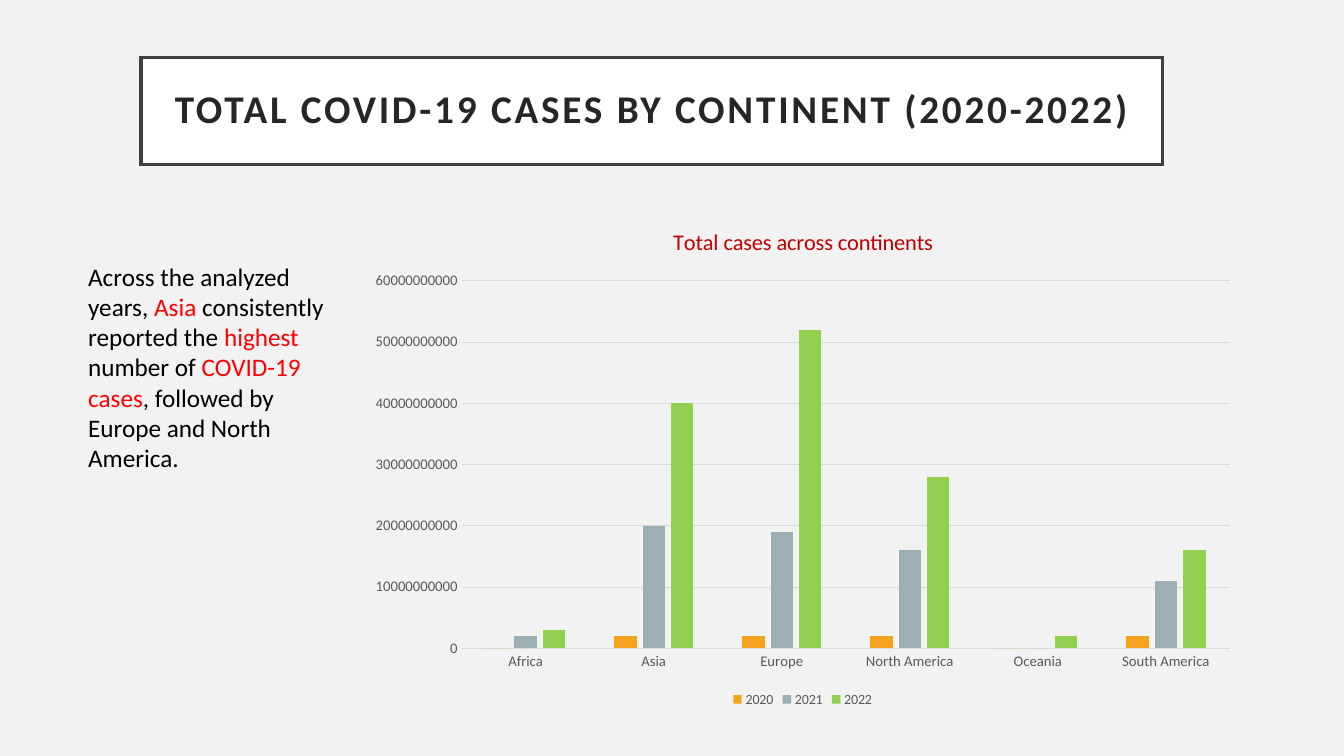
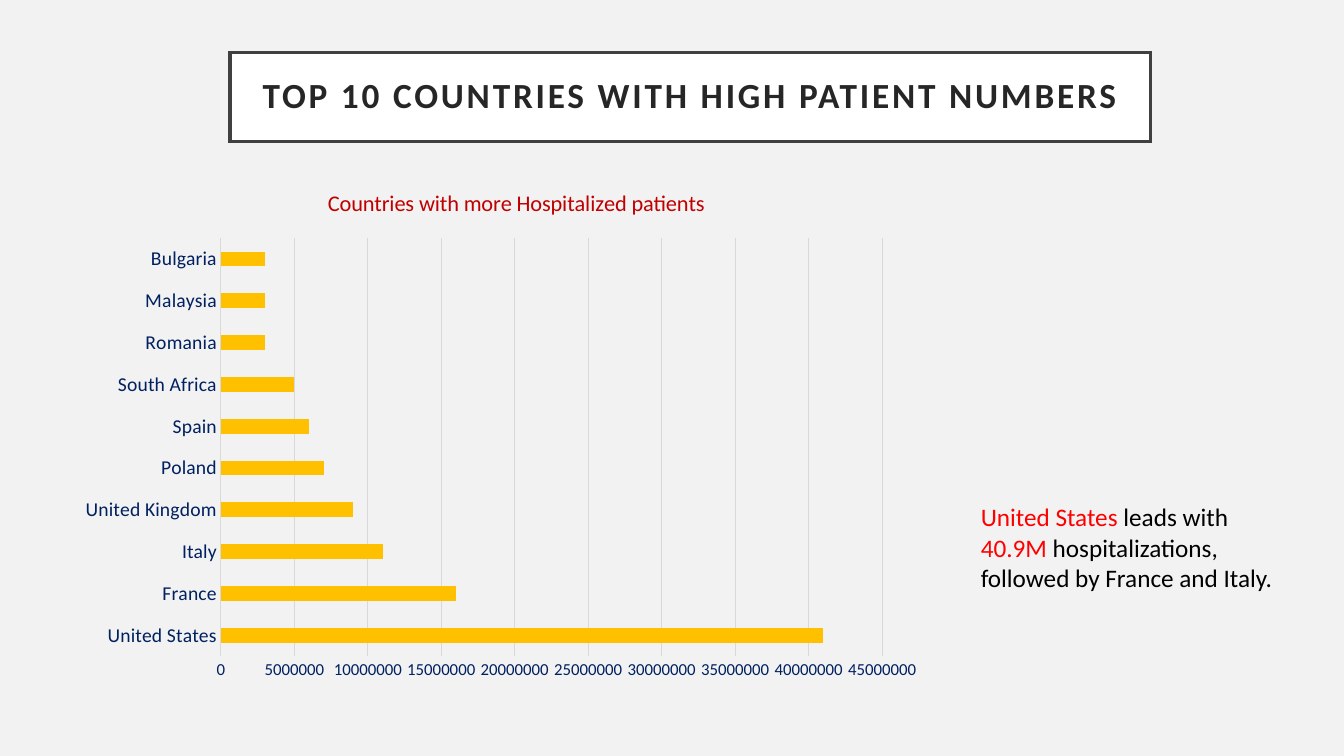
from pptx import Presentation
from pptx import util as u
from pptx.chart.data import CategoryChartData
from pptx.dml.color import RGBColor
from pptx.enum import chart as ch, shapes, text
from pptx.oxml import parse_xml
from pptx.oxml.ns import nsdecls

HUES = {
    "page": "F2F2F2", "white": "FFFFFF", "frame": "404040", "head": "262626",
    "body": "000000", "hot": "FF0000", "crimson": "C00000", "grid": "D9D9D9",
    "gray": "595959", "navy": "002060", "orange": "F6A21D", "steel": "9BAFB5",
    "green": "92D050", "gold": "FFC000",
}


def hue(name):
    """Return a named colour."""
    return RGBColor.from_string(HUES[name])


def style(font, size, color, bold=False):
    """Set the face, size, colour and weight of a font."""
    font.name, font.size, font.bold = "Calibri", u.Pt(size), bold
    font.color.rgb = hue(color)


def write(par, *parts, size=18, color="body", bold=False, track=0):
    """Fill a paragraph with strings, or (string, colour) pairs."""
    for part in parts:
        words, tint = (part, color) if isinstance(part, str) else part
        run = par.add_run()
        run.text = words
        style(run.font, size, tint, bold)
        if track:
            run.font._element.set("spc", str(track * 100))


def place(node, spot, index, inner=False):
    """Fix a chart part at percents (x, y[, w, h]) of its chart."""
    for old in node.xpath("c:layout"):
        node.remove(old)
    tags = '<c:layoutTarget val="inner"/>' if inner else ""
    tags += '<c:xMode val="edge"/><c:yMode val="edge"/>'
    tags += "".join(f'<c:{key} val="{pct / 100:.3f}"/>' for key, pct in zip("xywh", spot))
    node.insert(index, parse_xml(
        f'<c:layout {nsdecls("c")}><c:manualLayout>{tags}</c:manualLayout></c:layout>'))


class Deck:
    """Holds the shared style and the current slide; boxes are percents of the slide."""

    def __init__(self):
        """Start a wide deck with a tinted page."""
        self.prs = Presentation()
        self.prs.slide_width, self.prs.slide_height = u.Inches(13.33), u.Inches(7.5)
        fill = self.prs.slide_master.background.fill
        fill.solid()
        fill.fore_color.rgb = hue("page")

    def add(self):
        """Open a blank slide."""
        self.slide = self.prs.slides.add_slide(self.prs.slide_layouts[6])

    def box(self, *pct):
        """Turn percents of the slide into lengths."""
        sides = (self.prs.slide_width, self.prs.slide_height) * 2
        return [int(side * p / 100) for side, p in zip(sides, pct)]

    def title(self, pct, words, size):
        """Add the framed heading with sharp corners."""
        rect = self.slide.shapes.add_shape(shapes.MSO_SHAPE.RECTANGLE, *self.box(*pct))
        rect.shadow.inherit = False
        rect.fill.solid()
        rect.fill.fore_color.rgb = hue("white")
        rect.line.color.rgb = hue("frame")
        rect.line.width = u.Pt(2.5)
        edge = rect._element.xpath("p:spPr/a:ln")[0]
        edge.append(parse_xml(f'<a:miter {nsdecls("a")} lim="800000"/>'))
        frame = rect.text_frame
        frame.word_wrap = True
        frame.vertical_anchor = text.MSO_ANCHOR.MIDDLE
        frame.margin_left = frame.margin_right = u.Inches(0.2)
        frame.margin_top = frame.margin_bottom = u.Inches(0.2)
        par = frame.paragraphs[0]
        par.alignment, par.line_spacing = text.PP_ALIGN.CENTER, 0.9
        write(par, words, size=size, color="head", bold=True, track=2)

    def note(self, pct, *parts):
        """Add a wrapped comment."""
        frame = self.slide.shapes.add_textbox(*self.box(*pct)).text_frame
        frame.word_wrap = True
        frame.auto_size = text.MSO_AUTO_SIZE.SHAPE_TO_FIT_TEXT
        write(frame.paragraphs[0], *parts)

    def chart(self, pct, kind, cats, rows, *, unit, top, step, gap, lap=0, title,
              spot, area, ink, sizes, legend=False):
        """Add a bar chart; rows are (name, colour, values in units)."""
        data = CategoryChartData()
        data.categories = cats
        for name, _, vals in rows:
            data.add_series(name, [v * unit for v in vals])
        chart = self.slide.shapes.add_chart(kind, *self.box(*pct), data).chart
        style(chart.font, 10, "body")
        chart.has_title = True
        write(chart.chart_title.text_frame.paragraphs[0], title, size=16, color="crimson")
        chart.chart_title.include_in_layout = False
        place(chart.element.xpath(".//c:title")[0], spot, 1)
        place(chart.element.xpath(".//c:plotArea")[0], area, 0, inner=True)
        chart.has_legend = legend
        if legend:
            chart.legend.position = ch.XL_LEGEND_POSITION.BOTTOM
            chart.legend.include_in_layout = False
            style(chart.legend.font, 10, "gray")
        plot = chart.plots[0]
        plot.vary_by_categories = False
        plot.gap_width, plot.overlap = gap, lap
        for bars, (_, color, _) in zip(plot.series, rows):
            bars.format.fill.solid()
            bars.format.fill.fore_color.rgb = hue(color)
            bars.invert_if_negative = False
        cat, val = chart.category_axis, chart.value_axis
        for axis, size in zip((cat, val), sizes):
            axis.major_tick_mark = axis.minor_tick_mark = ch.XL_TICK_MARK.NONE
            style(axis.tick_labels.font, size, ink)
        val.minimum_scale, val.maximum_scale, val.major_unit = 0, top * unit, step * unit
        val.tick_labels.number_format = "0"
        val.tick_labels.number_format_is_linked = False
        val.format.line.fill.background()
        for line in (cat.format.line, val.major_gridlines.format.line):
            line.color.rgb = hue("grid")
            line.width = u.Pt(0.75)


def main():
    """Build both slides."""
    deck = Deck()
    deck.add()
    deck.title((10.5, 7.6, 76, 14.15), "TOTAL COVID-19 CASES BY CONTINENT (2020-2022)", 28)
    deck.note((5.82, 33.87, 20.85, 29.6),
              "Across the analyzed years, ", ("Asia", "hot"),
              " consistently reported the ", ("highest", "hot"), " number of ",
              ("COVID-19 cases", "hot"), ", followed by Europe and North America.")
    deck.chart(
        (26.6, 27.6, 66.25, 66.5), ch.XL_CHART_TYPE.COLUMN_CLUSTERED,
        ["Africa", "Asia", "Europe", "North America", "Oceania", "South America"],
        [("2020", "orange", [0, 2, 2, 2, 0, 2]),
         ("2021", "steel", [2, 20, 19, 16, 0, 11]),
         ("2022", "green", [3, 40, 52, 28, 2, 16])],
        unit=10**9, top=60, step=10, gap=219, lap=-27,
        title="Total cases across continents", spot=(35, 2.8),
        area=(11.7, 14.4, 86.3, 73.1), ink="gray", sizes=(10.5, 10.5), legend=True)

    deck.add()
    deck.title((17.1, 6.95, 68.5, 11.75), "TOP 10 COUNTRIES WITH HIGH PATIENT NUMBERS", 25.2)
    deck.chart(
        (5.1, 23.1, 64.4, 68.3), ch.XL_CHART_TYPE.BAR_CLUSTERED,
        ["United States", "France", "Italy", "United Kingdom", "Poland", "Spain",
         "South Africa", "Romania", "Malaysia", "Bulgaria"],
        [("Patients", "gold", [41, 16, 11, 9, 7, 6, 5, 3, 3, 3])],
        unit=10**6, top=45, step=5, gap=182,
        title="Countries with more Hospitalized patients", spot=(29.5, 1.8),
        area=(17.6, 12.3, 76.4, 81), ink="navy", sizes=(14, 12))
    deck.note((72.24, 65.7, 23.8, 13.5),
              ("United States", "hot"), " leads with ", ("40.9M", "hot"),
              " hospitalizations, followed by France and Italy.")
    deck.prs.save("out.pptx")


if __name__ == "__main__":
    main()
